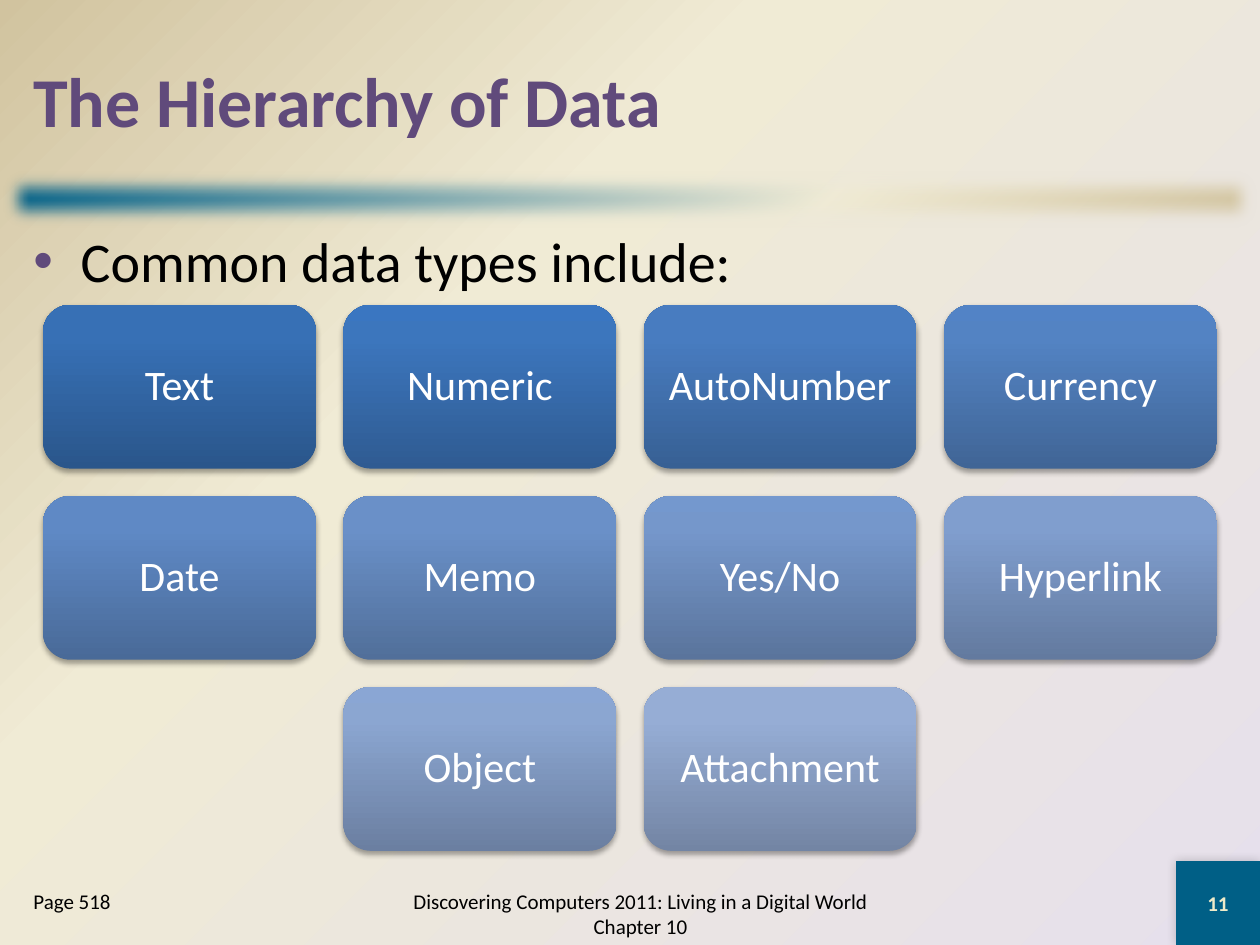
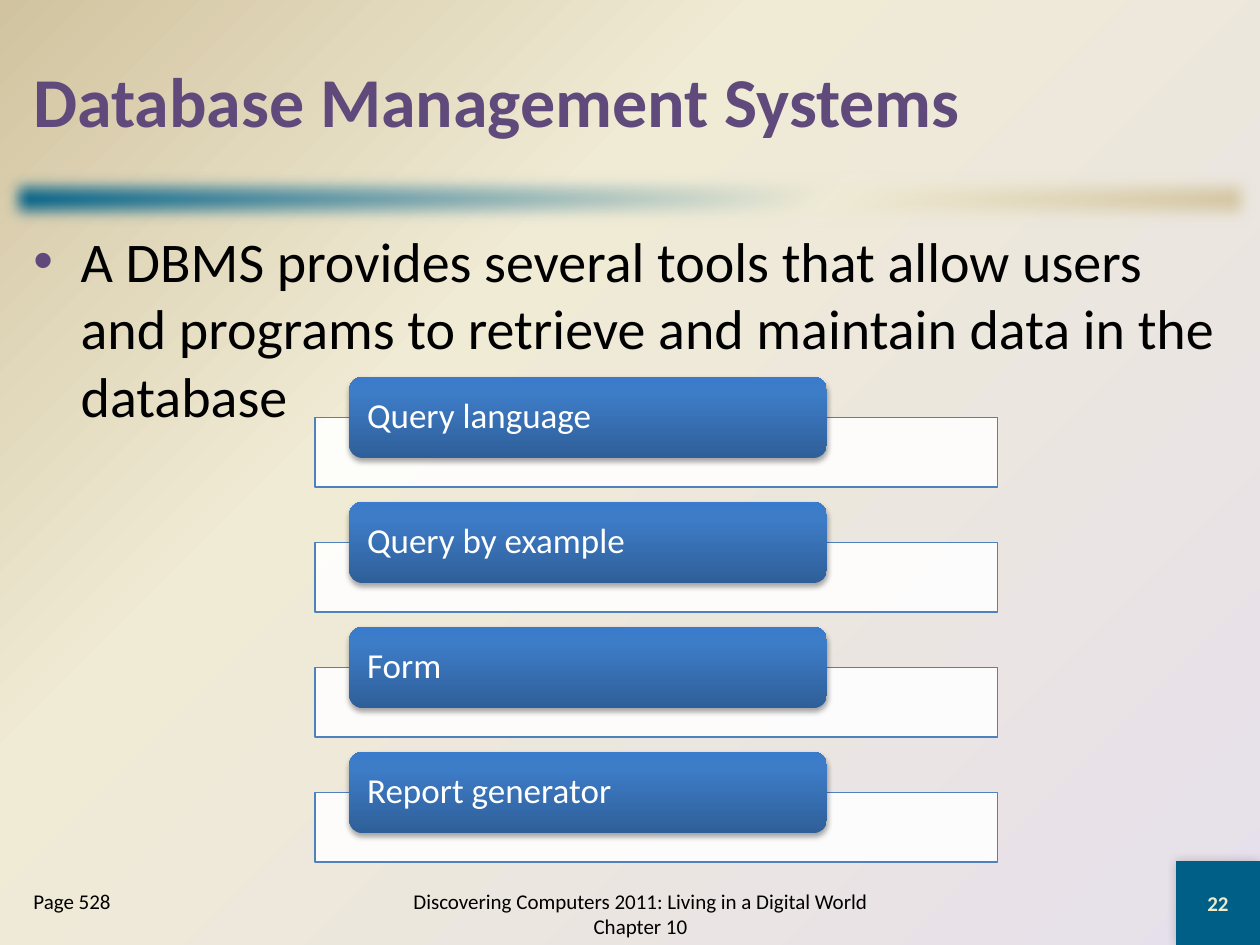
from pptx import Presentation
from pptx.dml.color import RGBColor
from pptx.enum import shapes, text
from pptx.oxml import ns, parse_xml
from pptx.util import Pt

FONT = "Calibri"
TEAL, CREAM, SAND = "005F86", "F0EBD5", "D1C39F"
LAVENDER, PURPLE, PALE = "E6E0EC", "604A7B", "EEEBCA"
BLACK, WHITE, BLUE = "000000", "FFFFFF", "4F81BD"
PILL_COLORS = ("2F5F99", "3D7CC7", "3A7CCB")
BOOK = "Discovering Computers 2011: Living in a Digital World Chapter 10"

RECT = shapes.MSO_SHAPE.RECTANGLE
ROUND = shapes.MSO_SHAPE.ROUNDED_RECTANGLE
LEFT, CENTER = text.PP_ALIGN.LEFT, text.PP_ALIGN.CENTER
TOP, MIDDLE = text.MSO_ANCHOR.TOP, text.MSO_ANCHOR.MIDDLE

DATA_TYPES = [
    ("Text", "2A568B", "3770B5", "3570B8"),
    ("Numeric", "2F5B92", "3C76BD", "3A76C1"),
    ("AutoNumber", "376094", "487CC0", "467CC3"),
    ("Currency", "406596", "5383C3", "5283C6"),
    ("Date", "496A98", "5F89C5", "5D8AC8"),
    ("Memo", "516F9A", "6A90C8", "6891CB"),
    ("Yes/No", "5A749C", "7597CB", "7498CE"),
    ("Hyperlink", "637A9F", "809ECE", "7F9FD1"),
    ("Object", "6B7FA1", "8BA6D1", "8AA6D4"),
    ("Attachment", "7385A4", "96ADD5", "95ADD7"),
]
TOOLS = ["Query language", "Query by example", "Form", "Report generator"]


def rgb(color):
    return RGBColor.from_string(color)


def xml(body):
    tag, rest = body[1:].split(" ", 1)
    return parse_xml(f"<{tag} {ns.nsdecls('a')} {rest}")


def gradient(parent, colors, positions, direction):
    stops = "".join(
        f'<a:gs pos="{pos * 1000}"><a:srgbClr val="{color}"/></a:gs>'
        for pos, color in zip(positions, colors)
    )
    grad = xml(f'<a:gradFill rotWithShape="1"><a:gsLst>{stops}</a:gsLst>{direction}</a:gradFill>')
    parent.replace(parent.find(ns.qn("a:solidFill")), grad)


def linear(angle):
    return f'<a:lin ang="{angle * 60000}" scaled="1"/>'


def add_effect(sp, body):
    sp._element.spPr.find(ns.qn("a:effectLst")).append(xml(body))


def add_shadow(sp, alpha, blur, dist, angle):
    add_effect(
        sp,
        f'<a:outerShdw blurRad="{Pt(blur)}" dist="{Pt(dist)}" dir="{angle * 60000}" rotWithShape="0">'
        f'<a:srgbClr val="{BLACK}"><a:alpha val="{alpha * 1000}"/></a:srgbClr></a:outerShdw>',
    )


def add_box(s, kind, box, fill, line=None):
    sp = s.shapes.add_shape(kind, *map(Pt, box))
    sp.shadow.inherit = False
    sp.fill.solid()
    sp.fill.fore_color.rgb = rgb(fill)
    if line:
        sp.line.color.rgb = rgb(line)
        sp.line.width = Pt(0.75)
    else:
        sp.line.fill.background()
    return sp


def write(sp, words, size, color=BLACK, bold=False, align=LEFT, anchor=TOP,
          bullet=None, spacing=None, margins=(7.2, 3.6)):
    tf = sp.text_frame
    tf.word_wrap = True
    tf.vertical_anchor = anchor
    tf.margin_left = tf.margin_right = Pt(margins[0])
    tf.margin_top = tf.margin_bottom = Pt(margins[1])
    p = tf.paragraphs[0]
    p.alignment = align
    if bullet:
        pPr = p._p.get_or_add_pPr()
        pPr.set("marL", str(Pt(27)))
        pPr.set("indent", str(-Pt(27)))
        pPr.append(xml(f'<a:buClr ><a:srgbClr val="{bullet}"/></a:buClr>'))
        pPr.append(xml('<a:buFont typeface="Arial"/>'))
        pPr.append(xml('<a:buChar char="•"/>'))
    if spacing:
        p.line_spacing = spacing
    r = p.add_run()
    r.text = words
    r.font.name = FONT
    r.font.size = Pt(size)
    r.font.bold = bold
    r.font.color.rgb = rgb(color)


def add_text(s, box, words, size, **style):
    write(s.shapes.add_textbox(*map(Pt, box)), words, size, **style)


def add_background(s):
    s.background.fill.solid()
    gradient(
        s._element.find(".//" + ns.qn("p:bgPr")), (LAVENDER, CREAM, SAND), (0, 65, 100),
        '<a:path path="circle"><a:fillToRect l="100000" t="100000"/></a:path>',
    )


def add_band(s, box):
    band = add_box(s, RECT, box, TEAL)
    gradient(band._element.spPr, (TEAL, CREAM, SAND), (0, 65, 100), linear(45))
    add_effect(band, f'<a:softEdge rad="{Pt(10)}"/>')


def add_footer(s, box, page, number):
    left, top, width, height = box
    corner = add_box(s, RECT, (left + width - 48, top + height - 48, 48, 48), TEAL)
    add_shadow(corner, 20, 6, 0, 225)
    write(corner, number, 12, color=PALE, bold=True, align=CENTER, anchor=MIDDLE)
    add_text(s, (left + 216, top + 12, 300, 36), BOOK, 12, align=CENTER, anchor=MIDDLE)
    add_text(s, (left + 12, top + 12, 132, 36), page, 12)


def add_frame(prs, title, bullet, page, number):
    s = prs.slides.add_slide(prs.slide_layouts[6])
    add_background(s)
    add_band(s, (0, 96, 720, 36))
    add_text(s, (12, 12, 696, 90), title, 40, color=PURPLE, bold=True, anchor=MIDDLE)
    add_text(s, (12, 126, 696, 366), bullet, 32, bullet=PURPLE)
    add_footer(s, (0, 492, 720, 48), page, number)
    return s


def add_block(s, box, words, size, colors, **style):
    block = add_box(s, ROUND, box, colors[0])
    gradient(block._element.spPr, colors, (0, 80, 100), linear(270))
    add_shadow(block, 35, 3.1, 1.8, 90)
    write(block, words, size, color=WHITE, anchor=MIDDLE, spacing=0.9, **style)


def add_type_grid(s, box, items, columns=4):
    left, top, width = box
    tile = width / (columns + 0.1 * (columns - 1))
    height, gap = 0.6 * tile, 0.1 * tile
    for start in range(0, len(items), columns):
        row = items[start:start + columns]
        x = left + (columns - len(row)) * (tile + gap) / 2
        y = top + start // columns * (height + gap)
        for i, (name, *colors) in enumerate(row):
            add_block(s, (x + i * (tile + gap), y, tile, height), name, 24, colors,
                      align=CENTER, margins=(0, 0))


def add_tool_list(s, box, tools):
    left, top, width, height = box
    pill, bar = 46.5, 39.7
    pitch = (height - pill / 2 - bar) / (len(tools) - 1)
    for i, tool in enumerate(tools):
        y = top + i * pitch
        strip = add_box(s, RECT, (left, y + pill / 2, width, bar), WHITE, line=BLUE)
        fill = strip._element.spPr.find(ns.qn("a:solidFill"))
        fill[0].append(xml('<a:alpha val="90000"/>'))
        add_block(s, (left + 0.05 * width, y, 0.7 * width, pill), tool, 20, PILL_COLORS,
                  margins=(8, 0))


def main():
    prs = Presentation()
    prs.slide_width, prs.slide_height = Pt(720), Pt(540)

    s = add_frame(prs, "The Hierarchy of Data", "Common data types include:", "Page 518", "11")
    add_type_grid(s, (24.6, 174.2, 670.8), DATA_TYPES)

    s = add_frame(
        prs, "Database Management Systems",
        "A DBMS provides several tools that allow users and programs "
        "to retrieve and maintain data in the database",
        "Page 528", "22",
    )
    add_tool_list(s, (180, 215.3, 390, 277.3), TOOLS)

    prs.save("out.pptx")


if __name__ == "__main__":
    main()
